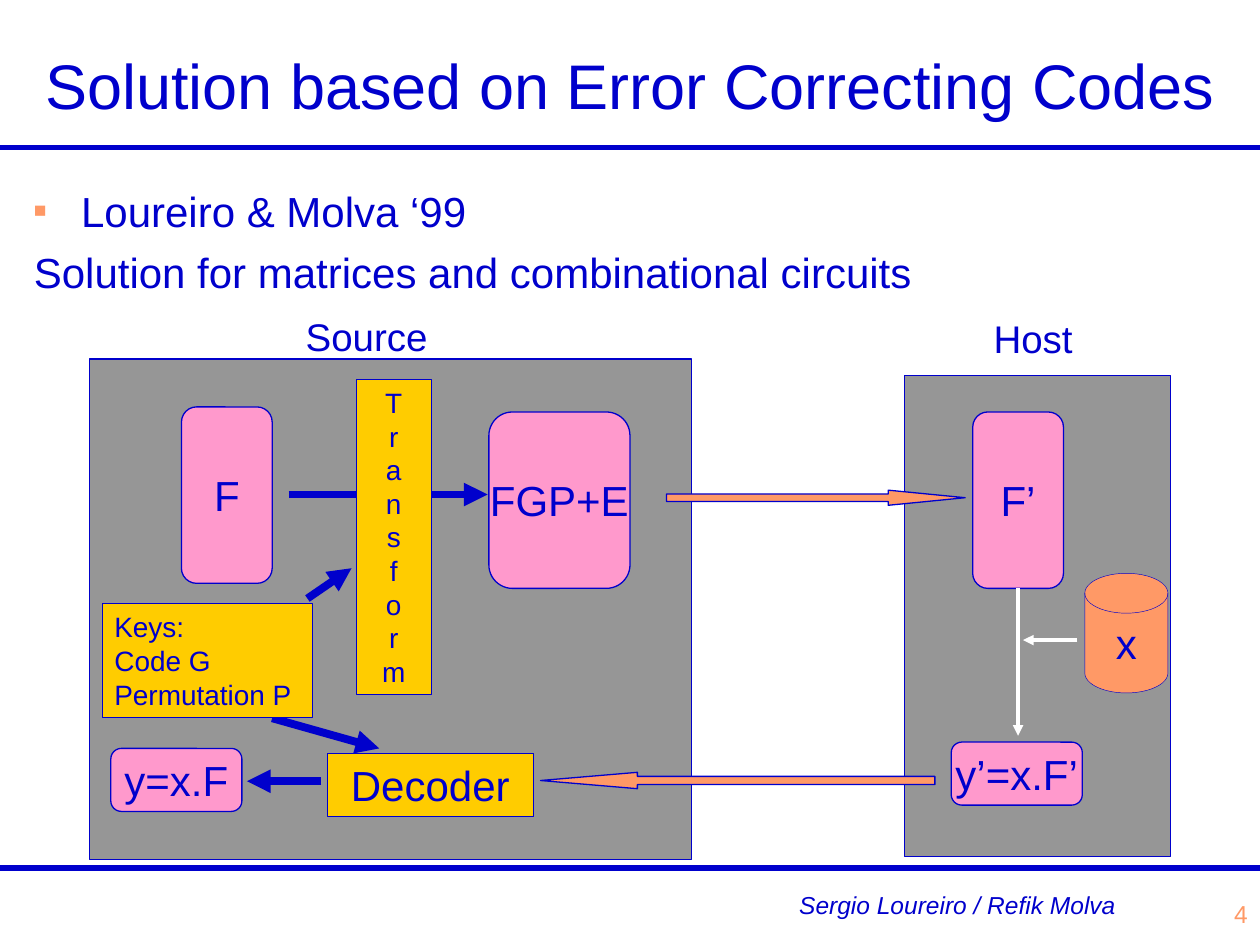
from lxml.etree import SubElement
from pptx import Presentation
from pptx.dml.color import RGBColor
from pptx.enum.shapes import MSO_CONNECTOR, MSO_SHAPE
from pptx.enum.text import MSO_ANCHOR, PP_ALIGN
from pptx.oxml.ns import qn
from pptx.util import Inches, Pt

COLORS = {
    "blue": "0000CC",
    "gray": "969696",
    "yellow": "FFCC00",
    "pink": "FF99CC",
    "orange": "FF9966",
    "white": "FFFFFF",
}
RGB = {name: RGBColor.from_string(value) for name, value in COLORS.items()}

deck = Presentation()
deck.slide_width, deck.slide_height = Inches(10), Inches(7.5)
slide = deck.slides.add_slide(deck.slide_layouts[5])
shapes = slide.shapes

# Grid of 100 columns by 75 rows
COL = deck.slide_width / 100
ROW = deck.slide_height / 75


def write_text(shape, text, size=24, color="blue", align=PP_ALIGN.CENTER,
               anchor=MSO_ANCHOR.MIDDLE, wrap=True, italic=False,
               line_spacing=None, space_between=0, hanging=0, bulleted=()):
    """Fill a shape with one paragraph per line; bulleted lists line indexes."""
    frame = shape.text_frame
    frame.word_wrap = wrap
    frame.vertical_anchor = anchor
    frame.text = text
    for index, paragraph in enumerate(frame.paragraphs):
        properties = paragraph._p.get_or_add_pPr()
        if hanging:
            properties.set("marL", str(int(hanging)))
            properties.set("indent", str(-int(hanging)))
        if index in bulleted:
            bullet_color = SubElement(properties, qn("a:buClr"))
            SubElement(bullet_color, qn("a:srgbClr"), val=COLORS["orange"])
            SubElement(properties, qn("a:buSzPct"), val="50000")
            SubElement(properties, qn("a:buFont"), typeface="Arial")
            SubElement(properties, qn("a:buChar"), char="■")
        paragraph.alignment = align
        if line_spacing:
            paragraph.line_spacing = line_spacing
        if index and space_between:
            paragraph.space_before = Pt(space_between)
        font = paragraph.runs[0].font
        font.name, font.size, font.italic = "Arial", Pt(size), italic
        font.color.rgb = RGB[color]


def add_line(x1, y1, x2, y2, color="blue", width=4.5, arrow=True):
    line = shapes.add_connector(MSO_CONNECTOR.STRAIGHT, int(x1 * COL), int(y1 * ROW),
                                int(x2 * COL), int(y2 * ROW))
    line.line.color.rgb = RGB[color]
    line.line.width = Pt(width)
    if arrow:
        SubElement(line.line._get_or_add_ln(), qn("a:tailEnd"), type="triangle")
    SubElement(line._element.spPr, qn("a:effectLst"))
    return line


# Title and rules
title = shapes.title
title.left, title.top = 0, 0
title.width, title.height = deck.slide_width, int(14.2 * ROW)
write_text(title, "Solution based on Error Correcting Codes", size=36, line_spacing=0.9)
for rule_row in (11.7, 68.9):
    add_line(0, rule_row, 100, rule_row, width=3, arrow=False)

# Body, panel headings and footer
texts = [
    (1.7, 14.2, 97.5, 10, "Loureiro & Molva ‘99\nSolution for matrices and combinational circuits",
     dict(align=PP_ALIGN.LEFT, anchor=MSO_ANCHOR.TOP, space_between=6,
          hanging=3.75 * COL, bulleted=(0,))),
    (22.1, 24.3, 14, 4.7, "Source", dict(size=22)),
    (77, 24.5, 10, 4.7, "Host", dict(size=22)),
    (61, 70.1, 30, 3.4, "Sergio Loureiro / Refik Molva", dict(size=14, italic=True)),
    (79.2, 70, 20.8, 5, "4", dict(size=14, color="orange", align=PP_ALIGN.RIGHT)),
]
for x, y, w, h, text, text_format in texts:
    box = shapes.add_textbox(int(x * COL), int(y * ROW), int(w * COL), int(h * ROW))
    write_text(box, text, **text_format)

# Panels, block arrows and boxes, from back to front
RECT, ROUND = MSO_SHAPE.RECTANGLE, MSO_SHAPE.ROUNDED_RECTANGLE
TO_HOST, TO_SOURCE = MSO_SHAPE.RIGHT_ARROW, MSO_SHAPE.LEFT_ARROW
DISK = MSO_SHAPE.FLOWCHART_MAGNETIC_DISK
panels = [
    (RECT, 7.1, 28.5, 47.8, 39.7, "gray", 0.75, "", {}),
    (RECT, 71.8, 29.8, 21.1, 38.2, "gray", 0.75, "", {}),
]
boxes = [
    (TO_HOST, 52.9, 38.9, 23.7, 1.2, "orange", 0.75, "", {}),
    (TO_SOURCE, 42.9, 61.3, 31.3, 1.3, "orange", 0.75, "", {}),
    (RECT, 28.3, 30.1, 5.9, 25, "yellow", 0.25, "\n".join("Transform"), dict(size=16)),
    (ROUND, 14.4, 32.3, 7.2, 14, "pink", 0.75, "F", dict(wrap=False)),
    (ROUND, 38.8, 32.7, 11.2, 14, "pink", 0.75, "FGP+E", dict(wrap=False)),
    (ROUND, 77.2, 32.7, 7.2, 14, "pink", 0.75, "F’", dict(wrap=False)),
    (DISK, 86.1, 45.5, 6.6, 9.5, "orange", 0.25, "x", {}),
    (ROUND, 75.5, 58.9, 10.4, 5, "pink", 0.75, "y’=x.F’", dict(wrap=False)),
    (RECT, 26, 59.8, 16.3, 5, "yellow", 0.25, "Decoder", {}),
    (ROUND, 8.8, 59.4, 10.4, 5, "pink", 0.75, "y=x.F", dict(wrap=False)),
    (RECT, 8.1, 47.9, 16.7, 9, "yellow", 0.25, "Keys:\nCode G\nPermutation P",
     dict(size=16, align=PP_ALIGN.LEFT)),
]
source_arrows = [
    (22.9, 39.25, 38.7, 39.25),
    (25.5, 62, 19.6, 62),
    (21.6, 57, 30.1, 59.4),
    (24.4, 47.5, 27.9, 45.1),
]
HEAD_LENGTHS = {TO_HOST: 5.08, TO_SOURCE: 5.92}
blocks = {}
for number, (kind, x, y, w, h, fill, line_width, text, text_format) in enumerate(panels + boxes):
    if number == len(panels):
        for ends in source_arrows:
            add_line(*ends)
    block = shapes.add_shape(kind, int(x * COL), int(y * ROW), int(w * COL), int(h * ROW))
    block.shadow.inherit = False
    block.fill.solid()
    block.fill.fore_color.rgb = RGB[fill]
    block.line.color.rgb = RGB["blue"]
    block.line.width = Pt(line_width)
    if kind in HEAD_LENGTHS:
        block.adjustments[0] = 0.5
        block.adjustments[1] = HEAD_LENGTHS[kind]
    if text:
        write_text(block, text, **text_format)
        blocks[text] = block

# Evaluation on the host
evaluation = add_line(80.8, 46.7, 80.8, 58.4, color="white", width=2)
evaluation.begin_connect(blocks["F’"], 2)
add_line(85.5, 50.8, 81.2, 50.8, color="white", width=2)

deck.save("out.pptx")
